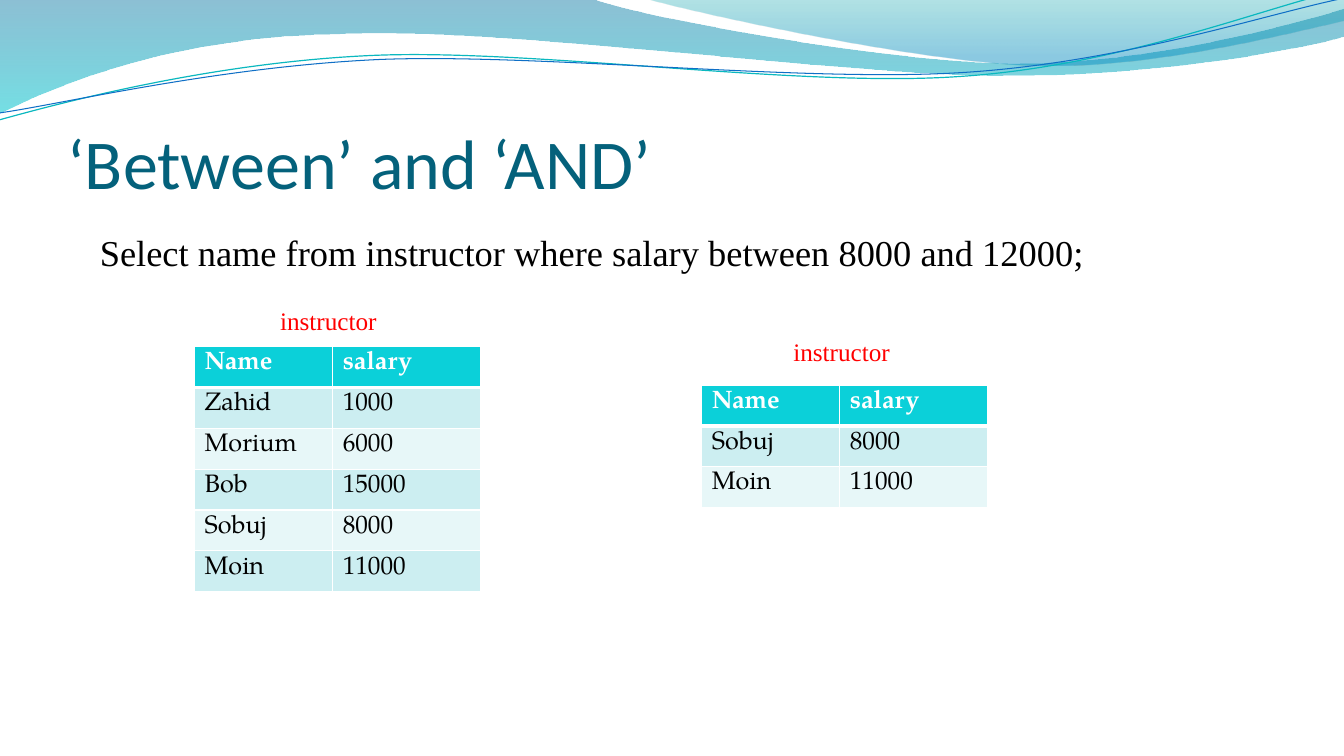
"""Build the slide on the SQL 'Between' and 'AND' operators."""
from dataclasses import dataclass
from typing import Any, Optional

from lxml.etree import SubElement
from pptx import Presentation
from pptx.dml.color import RGBColor
from pptx.enum.text import MSO_ANCHOR as Anchor, MSO_AUTO_SIZE as AutoSize, PP_ALIGN as Align
from pptx.oxml.ns import qn
from pptx.util import Inches, Pt

BLACK = RGBColor(0x00, 0x00, 0x00)
WHITE = RGBColor(0xFF, 0xFF, 0xFF)
RED = RGBColor(0xFF, 0x00, 0x00)
TITLE_TEAL = RGBColor(0x04, 0x61, 0x7B)
HEADER_CYAN = RGBColor(0x0B, 0xD0, 0xD9)
BAND_DARK = RGBColor(0xCC, 0xEE, 0xF1)
BAND_LIGHT = RGBColor(0xE7, 0xF7, 0xF8)
WAVE_BLUE = RGBColor(0x00, 0x74, 0xA1)
WAVE_CYAN = RGBColor(0x00, 0xC6, 0xCF)
CREST_TEAL = RGBColor(0x00, 0xA1, 0xA9)
CREST_BLUE = RGBColor(0x00, 0x8B, 0xBF)
LINE_TEAL = RGBColor(0x0A, 0xB8, 0xBF)
LINE_BLUE = RGBColor(0x0F, 0x6F, 0xC6)

SERIF = "Times New Roman"
TABLE_FONT = "TeX Gyre Pagella"
COLUMN_WIDTHS = (1.37, 1.47)
ROW_HEIGHT = 2.43 / 6

Point = tuple[float, float]


@dataclass(frozen=True)
class Stop:
    """One gradient stop: position from 0 to 1, colour, opacity in percent."""
    position: float
    color: RGBColor
    opacity: int


@dataclass(frozen=True)
class Wave:
    """A path of segments: one point is a line, three points are a curve."""
    start: Point
    segments: tuple[tuple[Point, ...], ...]
    stops: tuple[Stop, ...] = ()
    line_color: Optional[RGBColor] = None
    line_width: float = 0


@dataclass(frozen=True)
class SalaryTable:
    """A salary table with its label, placed in inches."""
    left: float
    top: float
    label_left: float
    label_top: float
    records: tuple[tuple[str, str], ...]


WAVES = (
    Wave((0, 0), (
        ((5.87, -0.01),),
        ((6.34, 0.17), (8.85, 0.63), (10.11, 0.63)),
        ((11.38, 0.63), (12.78, 0.26), (13.33, 0.09)),
        ((13.35, 0.36),),
        ((13.11, 0.44), (11.6, 0.76), (9.94, 0.75)),
        ((8.29, 0.75), (5.09, 0.28), (3.43, 0.34)),
        ((1.72, 0.36), (0.61, 0.83), (-0.01, 1.13)),
        ((0, 0),),
    ), (Stop(0, WAVE_BLUE, 45), Stop(1, WAVE_CYAN, 55))),
    Wave((6.39, -0.01), (
        ((6.79, 0.11), (9.09, 0.62), (10.25, 0.65)),
        ((11.41, 0.69), (12.82, 0.32), (13.33, 0.21)),
        ((13.33, 0),),
        ((6.39, -0.01),),
    ), (Stop(0, CREST_TEAL, 30), Stop(0.8, CREST_BLUE, 45))),
    Wave((-0.01, 1.19), (
        ((0.64, 1.01), (2.11, 0.62), (3.69, 0.55)),
        ((5.27, 0.48), (7.9, 0.87), (9.5, 0.76)),
        ((11.1, 0.66), (12.52, 0.08), (13.31, -0.1)),
    ), line_color=LINE_TEAL, line_width=0.85),
    Wave((0, 1.12), (
        ((0.63, 1.03), (2.18, 0.66), (3.78, 0.59)),
        ((5.37, 0.53), (7.96, 0.82), (9.55, 0.72)),
        ((11.15, 0.62), (12.55, 0.14), (13.34, -0.02)),
    ), line_color=LINE_BLUE, line_width=0.75),
)

TABLES = (
    SalaryTable(1.93, 3.44, 2.68, 2.98, (
        ("Zahid", "1000"), ("Morium", "6000"), ("Bob", "15000"),
        ("Sobuj", "8000"), ("Moin", "11000"))),
    SalaryTable(6.96, 3.82, 7.77, 3.29, (("Sobuj", "8000"), ("Moin", "11000"))),
)


def apply(target: Any, values: dict[str, Any]) -> None:
    """Set every attribute named in the format values."""
    for name, value in values.items():
        setattr(target, name, value)


def write(frame: Any, text: str, font: str, size: float, color: RGBColor, bold: bool = False) -> Any:
    """Write one formatted, left-aligned paragraph and return it."""
    paragraph = frame.paragraphs[0]
    paragraph.alignment = Align.LEFT
    run = paragraph.add_run()
    run.text = text
    apply(run.font, {"name": font, "size": Pt(size), "bold": bold})
    run.font.color.rgb = color
    return paragraph


def place(shape: Any, left: float, top: float, width: float, height: float) -> None:
    """Position a shape by lengths in inches."""
    apply(shape, {"left": Inches(left), "top": Inches(top),
                  "width": Inches(width), "height": Inches(height)})


def bend(shape: Any, wave: Wave) -> None:
    """Turn each three-point segment of the outline into a cubic curve."""
    lines = iter(list(shape._element.iter(qn("a:lnTo"))))
    for segment in wave.segments:
        parts = [next(lines) for _ in segment]
        if len(parts) == 3:
            curve = parts[0].makeelement(qn("a:cubicBezTo"))
            parts[0].addprevious(curve)
            for part in parts:
                curve.append(part[0])
                part.getparent().remove(part)


def draw_wave(slide: Any, wave: Wave) -> None:
    """Draw a gradient wave or a thin curved line."""
    vertices = [(Inches(x), Inches(y)) for segment in wave.segments for x, y in segment]
    builder = slide.shapes.build_freeform(*(Inches(value) for value in wave.start))
    builder.add_line_segments(vertices, close=bool(wave.stops))
    shape = builder.convert_to_shape()
    bend(shape, wave)
    shape.shadow.inherit = False
    if wave.line_color is None:
        shape.line.fill.background()
        shape.fill.gradient()
        shape.fill.gradient_angle = 270
        for gradient_stop, stop in zip(shape.fill.gradient_stops, wave.stops):
            gradient_stop.position = stop.position
            gradient_stop.color.rgb = stop.color
        colors = shape._element.spPr.iter(qn("a:srgbClr"))
        for color, stop in zip(colors, wave.stops):
            SubElement(color, qn("a:alpha"), val=str(stop.opacity * 1000))
    else:
        shape.fill.background()
        shape.line.color.rgb = wave.line_color
        shape.line.width = Pt(wave.line_width)


def add_borders(cell: Any, top: float, bottom: float) -> None:
    """Give a cell white borders, one point wide at the sides."""
    properties = cell._tc.get_or_add_tcPr()
    for edge, width in {"lnL": 1, "lnR": 1, "lnT": top, "lnB": bottom}.items():
        line = SubElement(properties, qn(f"a:{edge}"), w=str(Pt(width)))
        SubElement(SubElement(line, qn("a:solidFill")), qn("a:srgbClr"), val=str(WHITE))


def draw_table(slide: Any, salary: SalaryTable) -> None:
    """Draw a banded salary table and its red label."""
    rows = (("Name", "salary"), *salary.records)
    table = slide.shapes.add_table(
        len(rows), len(COLUMN_WIDTHS), Inches(salary.left), Inches(salary.top),
        Inches(sum(COLUMN_WIDTHS)), Inches(ROW_HEIGHT * len(rows))).table
    for column, width in zip(table.columns, COLUMN_WIDTHS):
        column.width = Inches(width)
    for row_index, row in enumerate(rows):
        header = row_index == 0
        band = BAND_DARK if row_index % 2 else BAND_LIGHT
        for column_index, text in enumerate(row):
            cell = table.cell(row_index, column_index)
            add_borders(cell, 3 if row_index == 1 else 1, 3 if header else 1)
            cell.fill.solid()
            cell.fill.fore_color.rgb = HEADER_CYAN if header else band
            write(cell.text_frame, text, TABLE_FONT, 18, WHITE if header else BLACK, header)
    label = slide.shapes.add_textbox(Inches(salary.label_left), Inches(salary.label_top),
                                     Inches(1.23), Inches(0.4))
    apply(label.text_frame, {"word_wrap": False, "auto_size": AutoSize.SHAPE_TO_FIT_TEXT})
    write(label.text_frame, "instructor ", SERIF, 18, RED)


def main() -> None:
    """Build and save the presentation."""
    presentation = Presentation()
    apply(presentation, {"slide_width": Inches(13.33), "slide_height": Inches(7.5)})
    slide = presentation.slides.add_slide(presentation.slide_layouts[1])
    for wave in WAVES:
        draw_wave(slide, wave)
    title, body = slide.placeholders
    place(title, 0.67, 0.77, 12, 1.25)
    apply(title.text_frame, {"vertical_anchor": Anchor.BOTTOM, "auto_size": AutoSize.NONE,
                             "margin_left": 0, "margin_right": 0, "margin_bottom": 0})
    write(title.text_frame, "‘Between’ and ‘AND’ ", "Calibri", 50, TITLE_TEAL)
    place(body, 0.89, 2.23, 9.98, 0.69)
    body.text_frame.auto_size = AutoSize.NONE
    query = write(body.text_frame, "Select name from instructor where salary between 8000 and 12000;",
                  SERIF, 26, BLACK)
    properties = query._p.get_or_add_pPr()
    for name, value in {"marL": Inches(0.3), "indent": Inches(-0.3)}.items():
        properties.set(name, str(value))
    SubElement(properties, qn("a:buNone"))
    for salary in TABLES:
        draw_table(slide, salary)
    presentation.save("out.pptx")


main()
